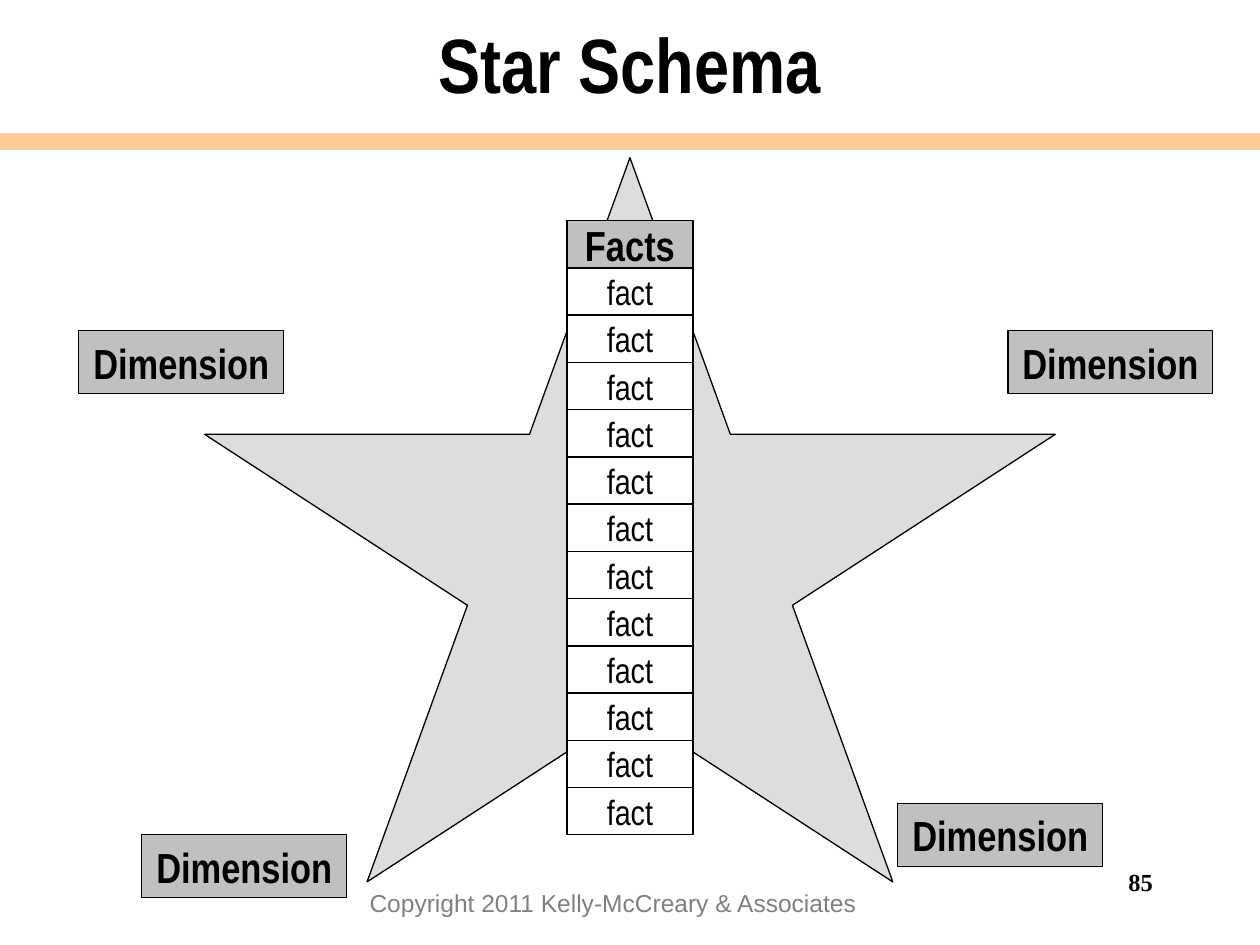
from dataclasses import dataclass

from lxml.etree import SubElement
from pptx import Presentation
from pptx.dml.color import RGBColor
from pptx.enum.shapes import MSO_CONNECTOR, MSO_SHAPE
from pptx.enum.text import MSO_ANCHOR, PP_ALIGN
from pptx.oxml.ns import qn
from pptx.util import Cm, Pt


@dataclass(frozen=True)
class Theme:
    narrow: str = "Arial Narrow"
    sans: str = "Arial"
    serif: str = "Times New Roman"
    ink: str = "000000"
    muted: str = "808080"
    paper: str = "FFFFFF"
    header: str = "C0C0C0"
    star: str = "DDDDDD"
    band: str = "FFCC99"
    title_size: float = 44
    header_size: float = 24
    fact_size: float = 20
    small_size: float = 14
    outline: float = 0.75
    band_line: float = 10


THEME = Theme()
SLIDE_W, SLIDE_H = 25.4, 19.05

# All positions and sizes are in centimetres.
TITLE = "Star Schema"
PAGE_NUMBER = "85"
COPYRIGHT = "Copyright 2011 Kelly-McCreary & Associates"
FACT_ROWS = ["Facts"] + ["fact"] * 12
FACT_TOP, FACT_BOTTOM, FACT_W = 4.45, 16.83, 2.54
STAR_TOP, STAR_W, STAR_H = 3.18, 17.15, 14.6
DIMENSION_W, DIMENSION_H = 4.13, 1.27
DIMENSIONS = [
    ("Dimension", 1.59, 6.67),
    ("Dimension", 20.32, 6.67),
    ("Dimension", 2.86, 16.83),
    ("Dimension", 18.1, 16.2),
]
BAND_Y = 2.85


def color(code):
    return RGBColor.from_string(code)


def write(shape, text, size, font=THEME.narrow, ink=THEME.ink, bold=False,
          align=PP_ALIGN.CENTER, anchor=MSO_ANCHOR.MIDDLE, wrap=False):
    frame = shape.text_frame
    frame.word_wrap = wrap
    frame.vertical_anchor = anchor
    paragraph = frame.paragraphs[0]
    paragraph.text = text
    paragraph.alignment = align
    paragraph.font.name = font
    paragraph.font.size = Pt(size)
    paragraph.font.bold = bold
    paragraph.font.color.rgb = color(ink)


def add_outlined(shapes, kind, box, fill):
    shape = shapes.add_shape(kind, *map(Cm, box))
    shape.shadow.inherit = False
    shape.fill.solid()
    shape.fill.fore_color.rgb = color(fill)
    shape.line.color.rgb = color(THEME.ink)
    shape.line.width = Pt(THEME.outline)
    return shape


def add_text(shapes, box, text, size, **style):
    write(shapes.add_textbox(*map(Cm, box)), text, size, wrap=True, **style)


def add_band(shapes):
    band = shapes.add_connector(MSO_CONNECTOR.STRAIGHT,
                                *map(Cm, (0, BAND_Y, SLIDE_W, BAND_Y)))
    band.line.color.rgb = color(THEME.band)
    band.line.width = Pt(THEME.band_line)
    SubElement(band._element.spPr, qn("a:effectLst"))


def add_fact_table(shapes):
    left = (SLIDE_W - FACT_W) / 2
    height = (FACT_BOTTOM - FACT_TOP) / len(FACT_ROWS)
    for row, label in enumerate(FACT_ROWS):
        is_header = row == 0
        cell = add_outlined(shapes, MSO_SHAPE.RECTANGLE,
                            (left, FACT_TOP + row * height, FACT_W, height),
                            THEME.header if is_header else THEME.paper)
        write(cell, label, THEME.header_size if is_header else THEME.fact_size,
              bold=is_header)


def add_dimensions(shapes):
    for label, left, top in DIMENSIONS:
        dimension = add_outlined(shapes, MSO_SHAPE.RECTANGLE,
                                 (left, top, DIMENSION_W, DIMENSION_H), THEME.header)
        write(dimension, label, THEME.header_size, bold=True)


def main():
    deck = Presentation()
    deck.slide_width, deck.slide_height = Cm(SLIDE_W), Cm(SLIDE_H)
    shapes = deck.slides.add_slide(deck.slide_layouts[6]).shapes

    add_band(shapes)
    add_text(shapes, (20.95, 17.35, 2.54, 1.27), PAGE_NUMBER, THEME.small_size,
             font=THEME.serif, bold=True, align=PP_ALIGN.RIGHT, anchor=MSO_ANCHOR.TOP)
    add_outlined(shapes, MSO_SHAPE.STAR_5_POINT,
                 ((SLIDE_W - STAR_W) / 2, STAR_TOP, STAR_W, STAR_H), THEME.star)
    add_text(shapes, (1.9, 0, 21.6, 2.54), TITLE, THEME.title_size, bold=True)
    add_fact_table(shapes)
    add_dimensions(shapes)
    add_text(shapes, (7.2, 17.78, 11.63, 1.27), COPYRIGHT, THEME.small_size,
             font=THEME.sans, ink=THEME.muted, align=PP_ALIGN.LEFT,
             anchor=MSO_ANCHOR.TOP)

    deck.save("out.pptx")


if __name__ == "__main__":
    main()
